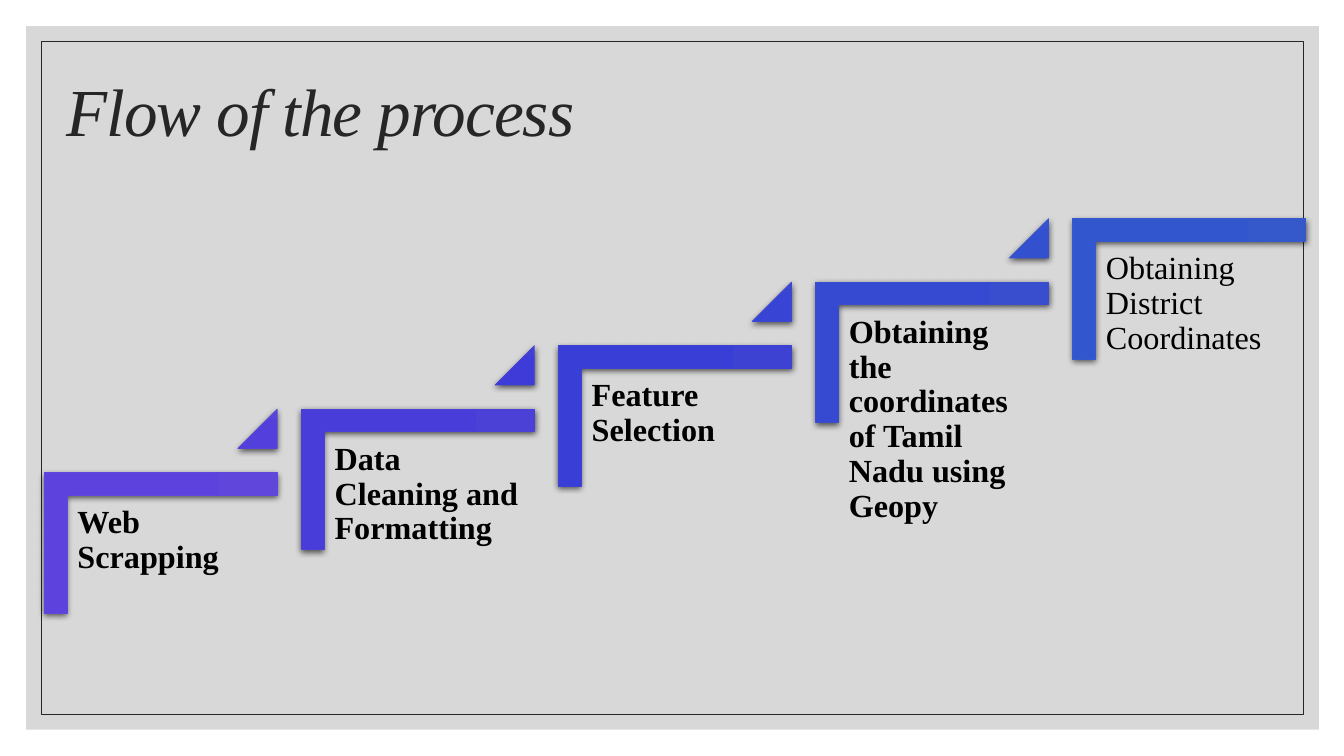
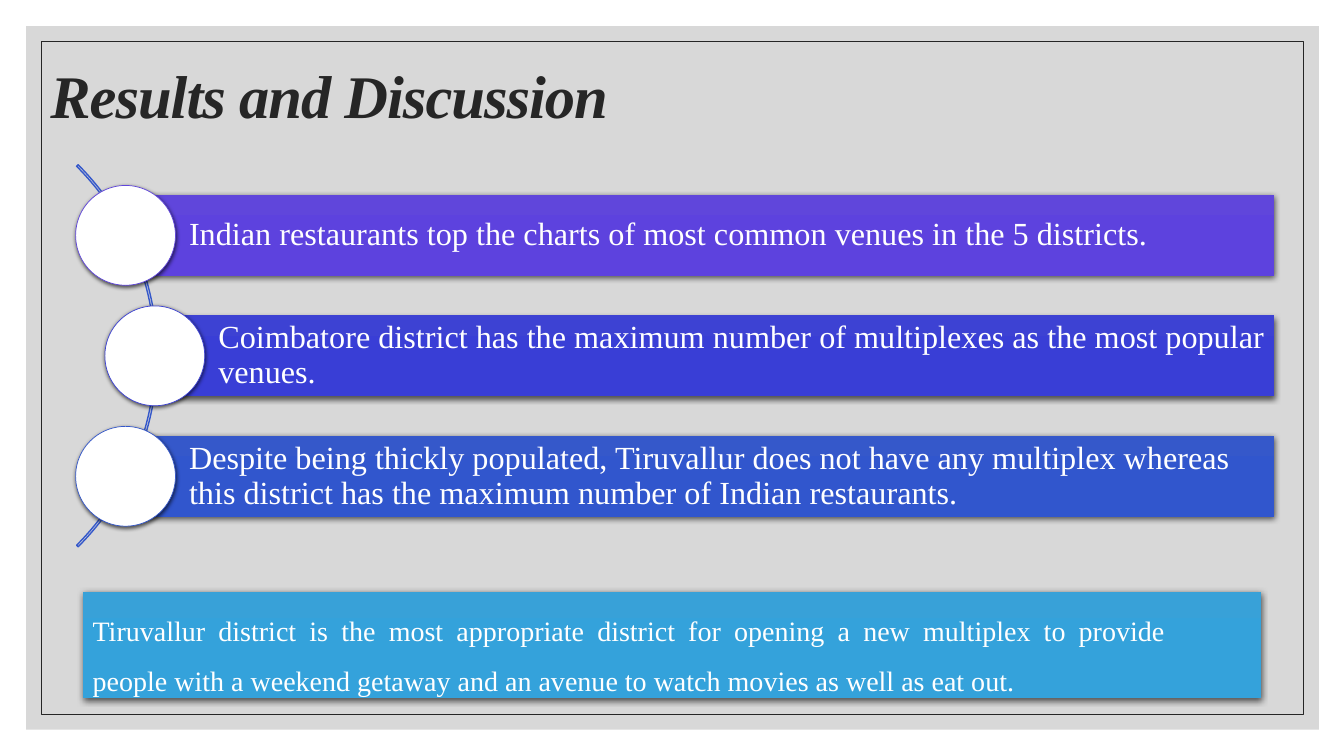
import lxml.etree
import pptx
import pptx.dml.color
import pptx.enum.shapes
import pptx.enum.text
import pptx.oxml.ns
import pptx.util

Inches = pptx.util.Inches
SHAPE = pptx.enum.shapes.MSO_SHAPE
ALIGN = pptx.enum.text.PP_ALIGN
ANCHOR = pptx.enum.text.MSO_ANCHOR
qn = pptx.oxml.ns.qn

FONT = "Times New Roman"
COLORS = {
    "panel": "BFBFBF", "ink": "262626", "black": "000000", "white": "FFFFFF",
    # Ramp from violet to blue: light top and deep body of each tone
    "tone1": "6046DB", "tone1 deep": "5D42DE",
    "tone2": "5644D9", "tone2 deep": "5340DC",
    "tone3": "4C41D7", "tone3 deep": "493DDA",
    "tone4": "423FD5", "tone4 deep": "3F3BD8",
    "tone5": "3D42D3", "tone5 deep": "393ED6",
    "tone6": "3B47D1", "tone6 deep": "3744D4",
    "tone7": "394DCF", "tone7 deep": "354AD1",
    "tone8": "3752CC", "tone8 deep": "3350CF",
    "tone9": "3558CA", "tone9 deep": "3156CD",
    "sky": "38A1D8", "sky deep": "34A2DB",
}


def color(name):
    return pptx.dml.color.RGBColor.from_string(COLORS[name])


# Shared building blocks
def write(frame, text, size=23, ink="black", bold=False, italic=False, spacing=0.9,
          align=ALIGN.LEFT, anchor=ANCHOR.TOP, insets=(0.1, 0.05, 0.1, 0.05), tracking=None):
    """Set one formatted paragraph; insets are left, top, right, bottom in inches."""
    frame.word_wrap = True
    frame.auto_size = pptx.enum.text.MSO_AUTO_SIZE.NONE
    frame.vertical_anchor = anchor
    frame.margin_left, frame.margin_top, frame.margin_right, frame.margin_bottom = map(Inches, insets)
    para = frame.paragraphs[0]
    para.alignment = align
    para.line_spacing = spacing
    span = para.add_run()
    span.text = text
    span.font.name = FONT
    span.font.size = pptx.util.Pt(size)
    span.font.bold = bold
    span.font.italic = italic
    span.font.color.rgb = color(ink)
    if tracking is not None:
        span.font._element.set("spc", str(round(tracking * 100)))


def add_shadow(shape, blur, distance):
    effects = shape.element.spPr.find(qn("a:effectLst"))
    shadow = lxml.etree.SubElement(
        effects, qn("a:outerShdw"), blurRad=str(pptx.util.Pt(blur)),
        dist=str(pptx.util.Pt(distance)), dir="5400000", algn="ctr", rotWithShape="0")
    tint = lxml.etree.SubElement(shadow, qn("a:srgbClr"), val=COLORS["black"])
    lxml.etree.SubElement(tint, qn("a:alpha"), val="63000")


def add_figure(page, kind, box, fill=None, tone=None, line=None, width=0.5,
               adjust=(), shadow=None):
    """Draw a preset shape; tone gives a gradient, shadow is (blur, distance)."""
    shape = page.shapes.add_shape(kind, *map(Inches, box))
    for index, value in enumerate(adjust):
        shape.adjustments[index] = value
    if tone:
        shape.fill.gradient()
        shape.fill.gradient_angle = 270
        light, deep = shape.fill.gradient_stops
        light.color.rgb = color(tone)
        deep.color.rgb = color(tone + " deep")
        deep.position = 0.5
    elif fill:
        shape.fill.solid()
        shape.fill.fore_color.rgb = color(fill)
    else:
        shape.fill.background()
    if line:
        shape.line.color.rgb = color(line)
        shape.line.width = pptx.util.Pt(width)
    else:
        shape.line.fill.background()
    shape.shadow.inherit = False
    if shadow:
        add_shadow(shape, *shadow)
    return shape


def build_master(deck, page):
    """Move the grey panel and its thin frame to the back of the slide master."""
    panel = add_figure(page, SHAPE.RECTANGLE, (0.26, 0.26, 12.82, 6.98), fill="panel")
    tint = panel.element.spPr.find(".//" + qn("a:srgbClr"))
    lxml.etree.SubElement(tint, qn("a:alpha"), val="60000")
    border = add_figure(page, SHAPE.RECTANGLE, (0.41, 0.41, 12.52, 6.68), line="ink")
    for index, shape in enumerate((panel, border)):
        shape.element.xpath(".//p:cNvPr")[0].set("id", str(101 + index))
        deck.slide_master.shapes.element.insert(2 + index, shape.element)


def add_page(deck, title, box, size, bold=False):
    page = deck.slides.add_slide(deck.slide_layouts.get_by_name("Title Only"))
    holder = page.shapes.title
    holder.left, holder.top, holder.width, holder.height = map(Inches, box)
    write(holder.text_frame, title, size=size, ink="ink", bold=bold, italic=True,
          anchor=ANCHOR.MIDDLE, tracking=-0.7)
    return page


# Flow of the process
def add_step(page, left, top, text, tone, bold):
    """Draw a corner bracket with its label."""
    width, height = 2.31, 1.39
    shift = (width - height) / 2
    bracket = add_figure(page, SHAPE.CORNER, (left + shift, top - shift, height, width),
                         tone=tone, line=tone, adjust=(0.161, 0.161), shadow=(4.5, 1.5))
    bracket.rotation = 90
    label = page.shapes.add_textbox(*map(Inches, (left + 0.23, top + 0.23, 2.08, 1.83)))
    write(label.text_frame, text, bold=bold, insets=(0.1,) * 4)


def add_staircase(page, left, top):
    steps = ["Web Scrapping", "Data Cleaning and Formatting", "Feature Selection",
             "Obtaining the coordinates of Tamil Nadu using Geopy",
             "Obtaining District Coordinates"]
    run, rise = 2.55, 0.63
    last = len(steps) - 1
    for index, text in enumerate(steps):
        x, y = left + index * run, top + (last - index) * rise
        add_step(page, x, y, text, f"tone{2 * index + 1}", bold=index < last)
        if index < last:
            tone = f"tone{2 * index + 2}"
            add_figure(page, SHAPE.ISOSCELES_TRIANGLE, (x + 1.92, y - rise, 0.39, 0.39),
                       tone=tone, line=tone, adjust=(1,), shadow=(4.5, 1.5))


# Results and Discussion
def add_findings(page, left, top, right):
    """Draw bars with circles along an arc."""
    findings = [
        ("Indian restaurants top the charts of most common venues in the 5 districts.", 0, "tone1"),
        ("Coimbatore district has the maximum number of multiplexes as the most popular venues.",
         0.29, "tone5"),
        ("Despite being thickly populated, Tiruvallur does not have any multiplex whereas "
         "this district has the maximum number of Indian restaurants.", 0, "tone9"),
    ]
    circle, bar, pitch = 0.99, 0.8, 1.195
    add_figure(page, SHAPE.BLOCK_ARC, (left - 4.55, top - 0.99, 5.36, 5.36),
               line="tone9", width=1, adjust=(189, 27, 0.004))
    for index, (text, indent, tone) in enumerate(findings):
        x, y = left + indent, top + index * pitch
        start = x + circle / 2
        strip = add_figure(page, SHAPE.RECTANGLE,
                           (start, y + (circle - bar) / 2, right - start, bar),
                           tone=tone, shadow=(4.5, 1.5))
        write(strip.text_frame, text, ink="white", anchor=ANCHOR.MIDDLE,
              insets=(0.63, 0.06, 0.06, 0.06))
        add_figure(page, SHAPE.OVAL, (x, y, circle, circle), fill="white", line=tone,
                   shadow=(3, 1))


def add_conclusion(page, box):
    banner = add_figure(page, SHAPE.RECTANGLE, box, tone="sky", shadow=(4.5, 1.5))
    write(banner.text_frame,
          "Tiruvallur district is the most appropriate district for opening a new multiplex "
          "to provide people with a weekend getaway and an avenue to watch movies as well "
          "as eat out.",
          size=20, ink="white", spacing=1.5, align=ALIGN.JUSTIFY,
          insets=(0.1, 0.05, 0.95, 0.05))


def main():
    deck = pptx.Presentation()
    deck.slide_width, deck.slide_height = Inches(13.33), Inches(7.5)

    flow = add_page(deck, "Flow of the process", (0.56, 0.39, 11.79, 1.5), 48)
    build_master(deck, flow)
    add_staircase(flow, 0.44, 2.17)

    results = add_page(deck, "Results and Discussion", (0.4, 0.42, 11.77, 1.12), 43.2, bold=True)
    add_findings(results, 0.75, 1.84, 12.64)
    add_conclusion(results, (0.82, 5.87, 11.69, 1.05))

    deck.save("out.pptx")


if __name__ == "__main__":
    main()
